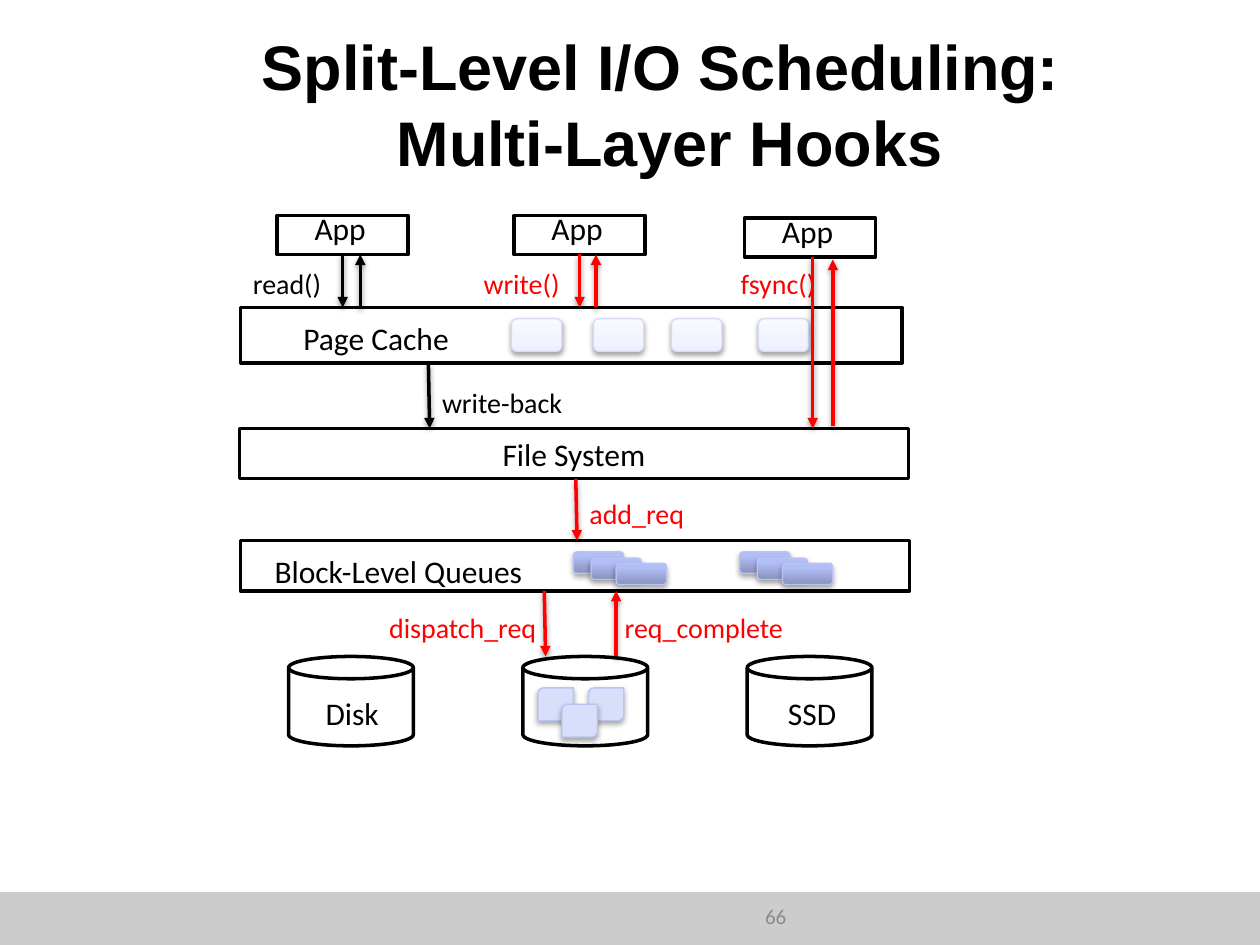
from lxml import etree
from pptx import Presentation
from pptx.dml.color import RGBColor
from pptx.enum.shapes import MSO_CONNECTOR, MSO_SHAPE
from pptx.enum.text import MSO_ANCHOR, PP_ALIGN
from pptx.oxml.ns import qn
from pptx.util import Inches, Pt

RECTANGLE, ROUNDED = MSO_SHAPE.RECTANGLE, MSO_SHAPE.ROUNDED_RECTANGLE
CAN, DIAGONAL = MSO_SHAPE.CAN, MSO_SHAPE.ROUND_2_DIAG_RECTANGLE
STRAIGHT = MSO_CONNECTOR.STRAIGHT
LEFT, CENTER, RIGHT = PP_ALIGN.LEFT, PP_ALIGN.CENTER, PP_ALIGN.RIGHT
TOP, MIDDLE = MSO_ANCHOR.TOP, MSO_ANCHOR.MIDDLE

THEME = {
    "black": "000000",
    "red": "FF0000",
    "white": "FFFFFF",
    "footer": "CCCCCC",
    "title": {"name": "Arial", "size": Pt(36), "bold": True},
    "layer": {"name": "Calibri", "size": Pt(18)},
    "hook": {"name": "Calibri", "size": Pt(16)},
    "number": {"name": "Calibri", "size": Pt(12)},
    "number_color": "8C8C8C",
    "outline": ("000000", 2),
    "page": {"fill": [(0, "ECEFFF"), (35, "F1F3FF"), (100, "F9FAFF")],
             "line": ("D6DCF5", 0.75), "shadow": (38, 1.57)},
    "request": {"fill": [(0, "8992BE"), (80, "B2BEF6"), (100, "B2BEF9")],
                "line": ("BAC4F2", 0.75), "shadow": (35, 1.81)},
    "block": {"fill": "D9DFFA", "line": ("BAC4F2", 0.75), "shadow": (35, 1.81)},
    "arrow_shadow": (38, 1.57),
}

TITLE = "Split-Level I/O Scheduling: \vMulti-Layer Hooks"
PAGE_NUMBER = "66"

APPS = [(2.2, 1.71), (4.08, 1.71), (5.91, 1.73)]
LAYERS = [(1.91, 2.44, 5.25, 0.44), (1.9, 3.4, 5.31, 0.4), (1.91, 4.29, 5.31, 0.4)]
LAYER_LABELS = [
    ("Page Cache", 1.9, 2.48, 2.17),
    ("File System", 1.9, 3.4, 5.31),
    ("Block-Level Queues ", 1.95, 4.33, 2.48),
    ("Disk", 2.35, 5.46, 0.89),
    ("SSD", 6, 5.46, 0.89),
]
DEVICES = [2.29, 4.15, 5.93]
PAGES = [4.06, 4.71, 5.33, 6.02]
QUEUES = [4.55, 5.87]
QUEUE_STEPS = [(0, 0), (0.14, 0.05), (0.34, 0.09)]
DISK_BLOCKS = [(4.27, 5.46), (4.67, 5.46), (4.46, 5.59)]
HOOKS = [
    ("read()", 1.91, 2.07, 0.8, "black"),
    ("write()", 3.74, 2.07, 0.9, "red"),
    ("fsync()", 5.78, 2.07, 0.81, "red"),
    ("write-back", 3.41, 3.01, 1.32, "black"),
    ("add_req", 4.58, 3.89, 1.02, "red"),
    ("dispatch_req", 2.99, 4.8, 1.48, "red"),
    ("req_complete", 4.86, 4.8, 1.55, "red"),
]
ARROWS = [
    (2.72, 2.02, 2.72, 2.44, "black"),
    (2.86, 2.44, 2.86, 2.02, "black"),
    (4.6, 2.02, 4.6, 2.44, "red"),
    (4.73, 2.44, 4.73, 2.02, "red"),
    (6.45, 2.04, 6.45, 3.4, "red"),
    (6.61, 3.38, 6.61, 2.06, "red"),
    (3.4, 2.89, 3.41, 3.4, "black"),
    (4.57, 3.8, 4.58, 4.29, "red"),
    (4.32, 4.69, 4.33, 5.21, "red"),
    (4.89, 5.21, 4.89, 4.69, "red"),
]


def add_element(parent, tag, **attributes):
    element = etree.SubElement(parent, qn(tag))
    for name, value in attributes.items():
        element.set(name, str(value))
    return element


def add_shadow(effects, opacity, distance):
    shadow = add_element(effects, "a:outerShdw", blurRad=Pt(3.15), dist=Pt(distance),
                         dir=5400000, rotWithShape=0)
    color = add_element(shadow, "a:srgbClr", val=THEME["black"])
    add_element(color, "a:alpha", val=opacity * 1000)


def set_line(line, color, width):
    line.color.rgb = RGBColor.from_string(color)
    line.width = Pt(width)


def set_gradient(shape, stops):
    shape.fill.gradient()
    shape.fill.gradient_angle = 90
    stop_list = next(shape._element.spPr.iter(qn("a:gsLst")))
    for old_stop in list(stop_list):
        stop_list.remove(old_stop)
    for position, color in stops:
        stop = add_element(stop_list, "a:gs", pos=position * 1000)
        add_element(stop, "a:srgbClr", val=color)


def add_box(slide, kind, box, fill=THEME["white"], line=THEME["outline"], shadow=None):
    shape = slide.shapes.add_shape(kind, *map(Inches, box))
    if isinstance(fill, list):
        set_gradient(shape, fill)
    else:
        shape.fill.solid()
        shape.fill.fore_color.rgb = RGBColor.from_string(fill)
    if line:
        set_line(shape.line, *line)
    else:
        shape.line.fill.background()
    shape.shadow.inherit = False
    if shadow:
        add_shadow(shape._element.spPr.find(qn("a:effectLst")), *shadow)


def add_text(slide, text, box, style, color=THEME["black"], align=LEFT, anchor=TOP):
    frame = slide.shapes.add_textbox(*map(Inches, box)).text_frame
    frame.word_wrap = True
    frame.vertical_anchor = anchor
    paragraph = frame.paragraphs[0]
    paragraph.text = text
    paragraph.alignment = align
    for run in paragraph.runs:
        for name, value in THEME[style].items():
            setattr(run.font, name, value)
        run.font.color.rgb = RGBColor.from_string(color)


def add_arrow(slide, points, color):
    connector = slide.shapes.add_connector(STRAIGHT, *map(Inches, points))
    set_line(connector.line, color, 2)
    properties = connector._element.spPr
    add_element(properties.find(qn("a:ln")), "a:tailEnd", type="triangle")
    add_shadow(add_element(properties, "a:effectLst"), *THEME["arrow_shadow"])


def main():
    presentation = Presentation()
    presentation.slide_width, presentation.slide_height = Inches(10), Inches(7.5)
    slide = presentation.slides.add_slide(presentation.slide_layouts[6])

    add_box(slide, RECTANGLE, (0, 7.08, 10, 0.42), THEME["footer"], None)
    add_text(slide, TITLE, (1.06, 0.33, 8.51, 0.98), "title", align=CENTER, anchor=MIDDLE)
    add_text(slide, PAGE_NUMBER, (4.01, 7.12, 2.33, 0.33), "number",
             THEME["number_color"], RIGHT)

    for layer in LAYERS:
        add_box(slide, RECTANGLE, layer)
    for left, top in APPS:
        add_box(slide, RECTANGLE, (left, top, 1.04, 0.31))
        add_text(slide, "App", (left - 0.02, top - 0.1, 1.04, 0.23), "layer", align=CENTER)
    for left in DEVICES:
        add_box(slide, CAN, (left, 5.21, 0.99, 0.71))
    for text, left, top, width in LAYER_LABELS:
        add_text(slide, text, (left, top, width, 0.32), "layer", align=CENTER)

    for left in PAGES:
        add_box(slide, ROUNDED, (left, 2.53, 0.4, 0.26), **THEME["page"])
    for left in QUEUES:
        for across, down in QUEUE_STEPS:
            add_box(slide, ROUNDED, (left + across, 4.38 + down, 0.4, 0.17),
                    **THEME["request"])
    for left, top in DISK_BLOCKS:
        add_box(slide, DIAGONAL, (left, top, 0.28, 0.26), **THEME["block"])

    for text, left, top, width, color in HOOKS:
        add_text(slide, text, (left, top, width, 0.36), "hook", THEME[color])
    for *points, color in ARROWS:
        add_arrow(slide, points, THEME[color])

    presentation.save("out.pptx")


if __name__ == "__main__":
    main()
